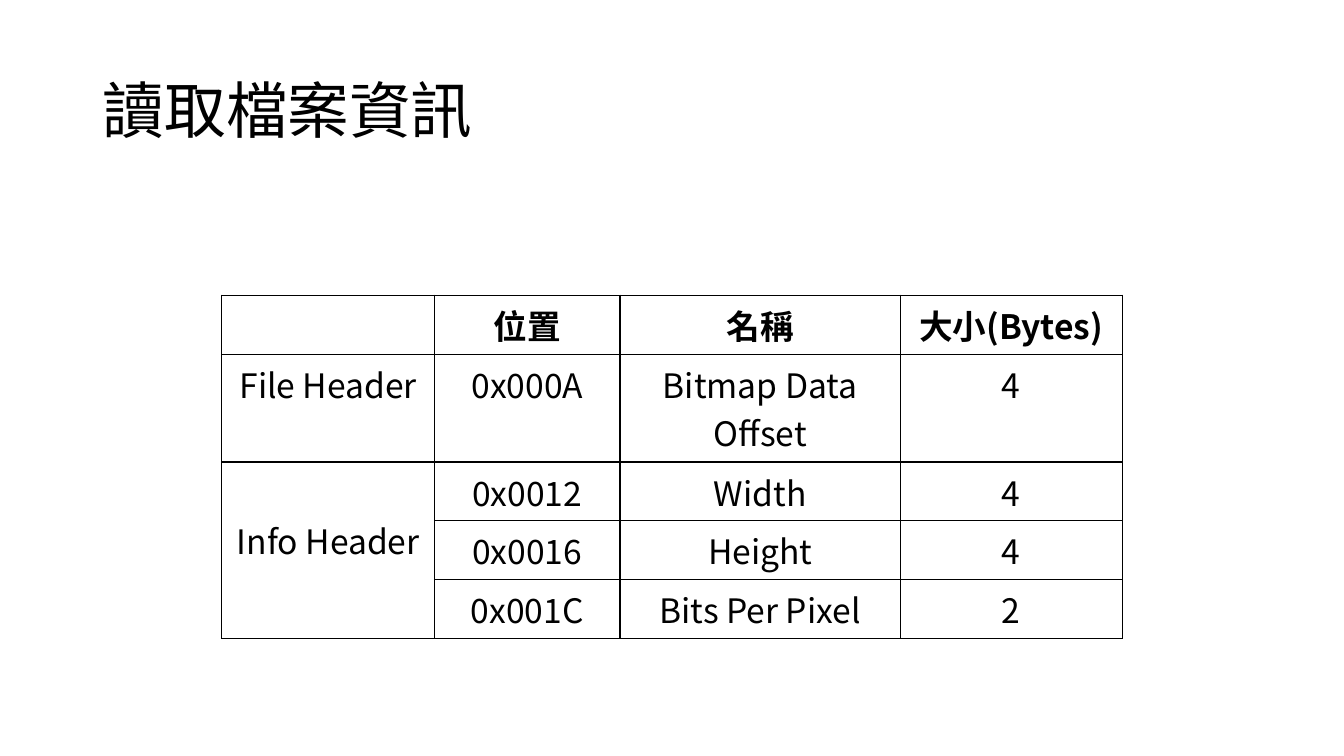
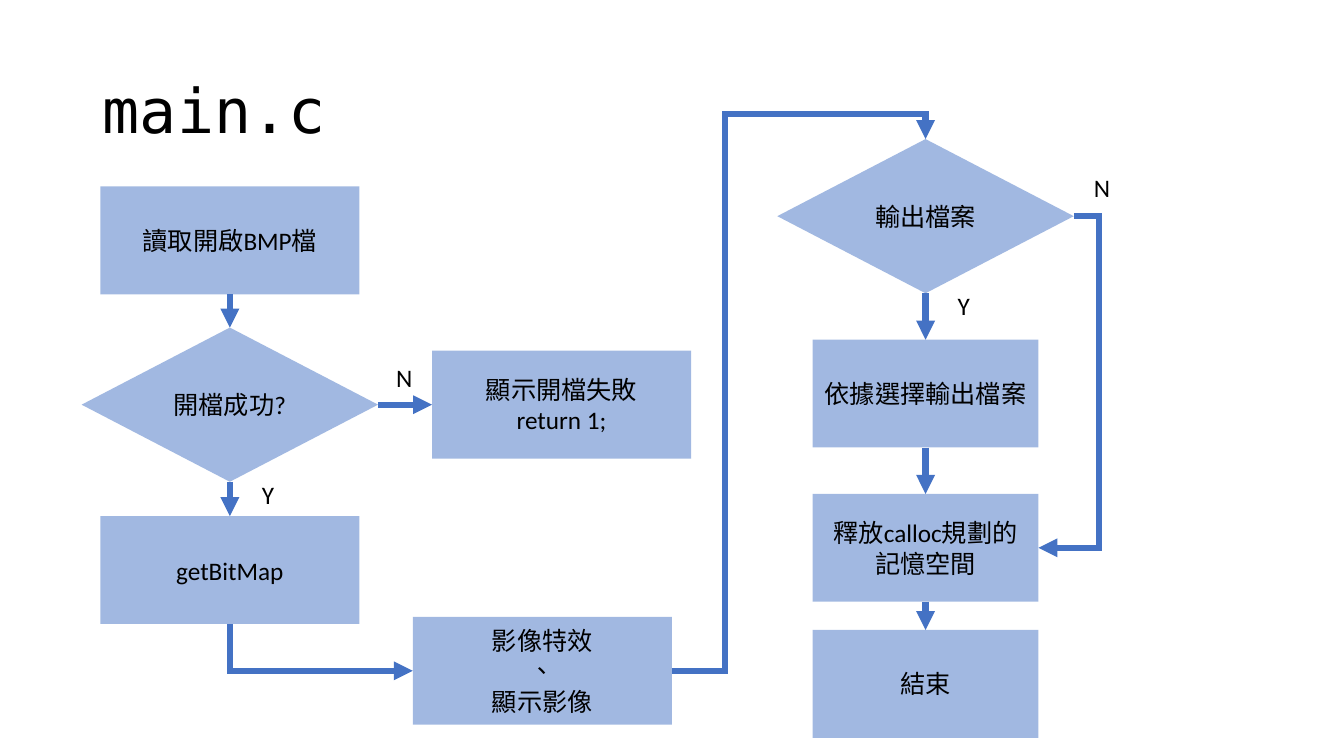
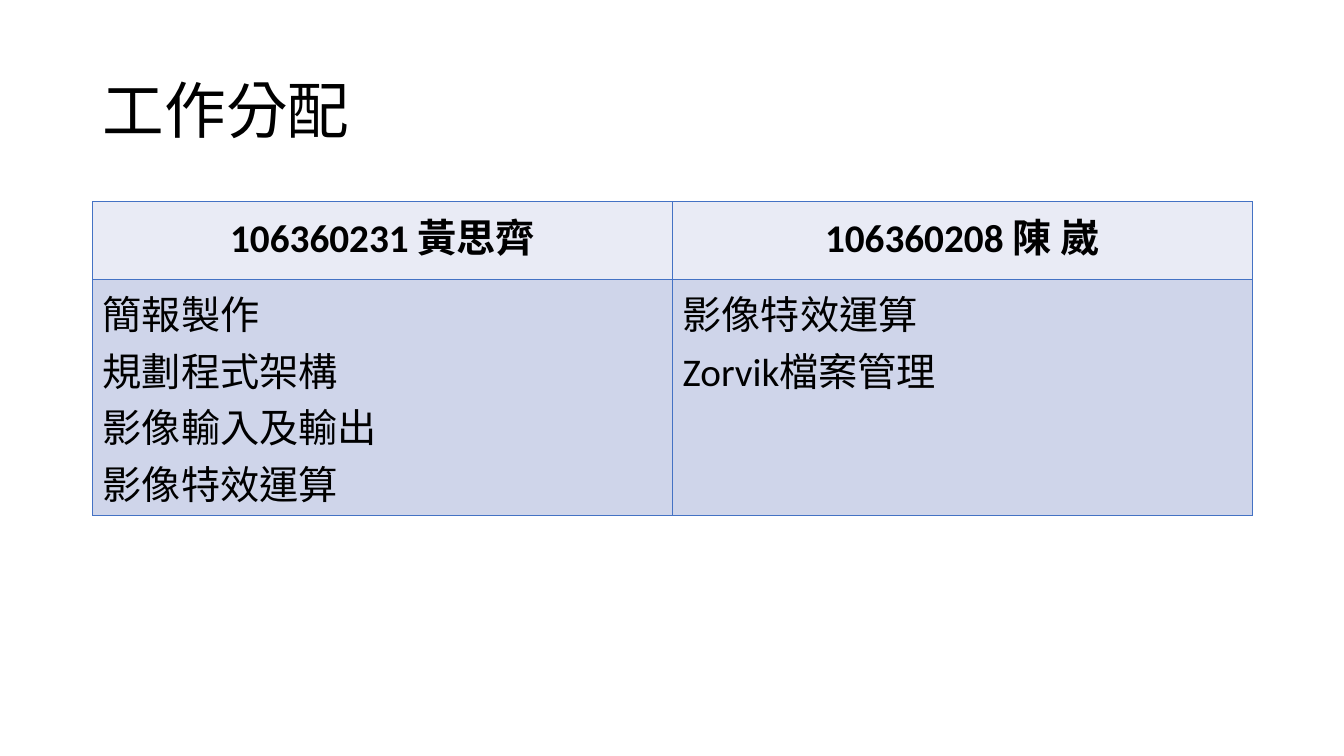
from dataclasses import dataclass

from lxml import etree
from pptx import Presentation
from pptx.dml.color import RGBColor
from pptx.enum import shapes, text
from pptx.oxml import ns
from pptx.util import Inches, Pt

RECT = shapes.MSO_SHAPE.RECTANGLE
DECISION = shapes.MSO_SHAPE.FLOWCHART_DECISION
CENTER, LEFT = text.PP_ALIGN.CENTER, text.PP_ALIGN.LEFT
TOP_SITE, LEFT_SITE, BOTTOM_SITE, RIGHT_SITE = range(4)


@dataclass(frozen=True)
class Theme:
    ink: str = "000000"
    accent: str = "4472C4"
    header_fill: str = "E9EBF5"
    body_fill: str = "CFD5EA"
    mono: str = "DejaVu Sans Mono"
    sans: str = "Calibri"
    cjk: str = "Noto Sans CJK SC"
    title_size: int = 44
    large_size: int = 28
    table_size: int = 24
    flow_size: int = 18
    arrow_width: float = 4.5
    border_width: float = 1


THEME = Theme()


def child(parent, tag, **attrs):
    return etree.SubElement(parent, ns.qn(tag), attrs)


def write(tf, lines, size, latin, east_asian, align=LEFT, bold=False):
    """Fill a text frame with one paragraph per line; return the paragraphs."""
    for i, line in enumerate(lines):
        p = tf.paragraphs[0] if i == 0 else tf.add_paragraph()
        p.alignment = align
        r = p.add_run()
        r.text = line
        r.font.size = Pt(size)
        r.font.bold = bold
        r.font.name = latin
        r.font.color.rgb = RGBColor.from_string(THEME.ink)
        props = r.font._element
        props.set("lang", "zh-TW")
        child(props, "a:ea", typeface=east_asian)
    return tf.paragraphs


def place_title(layout):
    """Give every slide of this layout the same title box."""
    sp = layout.placeholders[0]
    sp.left, sp.top = Inches(0.92), Inches(0.4)
    sp.width, sp.height = Inches(11.5), Inches(1.45)


def add_slide(prs, title):
    slide = prs.slides.add_slide(prs.slide_layouts[5])
    tf = slide.shapes.title.text_frame
    tf.auto_size = text.MSO_AUTO_SIZE.NONE
    tf.vertical_anchor = text.MSO_ANCHOR.MIDDLE
    p = write(tf, [title], THEME.title_size, THEME.mono, THEME.mono)[0]
    p.line_spacing = 0.9
    return slide


def add_grid(slide, left, top, widths, heights, color):
    """Add a table without a banded style, every cell bordered."""
    frame = slide.shapes.add_table(
        len(heights), len(widths), Inches(left), Inches(top),
        Inches(sum(widths)), Inches(sum(heights)))
    table = frame.table
    table.first_row = table.horz_banding = False
    for column, width in zip(table.columns, widths):
        column.width = Inches(width)
    for row, height in zip(table.rows, heights):
        row.height = Inches(height)
    for cell in table.iter_cells():
        props = cell._tc.get_or_add_tcPr()
        for side in "LRTB":
            ln = child(props, f"a:ln{side}", w=str(Pt(THEME.border_width)))
            child(child(ln, "a:solidFill"), "a:srgbClr", val=color)
        cell.fill.background()
    return table


def add_node(slide, lines, cx, top, width=2.57, height=1.07, kind=RECT):
    """Add a flowchart step centred on cx."""
    sp = slide.shapes.add_shape(
        kind, Inches(cx - width / 2), Inches(top), Inches(width), Inches(height))
    sp.shadow.inherit = False
    sp.line.fill.background()
    sp.fill.solid()
    sp.fill.fore_color.rgb = RGBColor.from_string(THEME.accent)
    child(sp._element.spPr.find(".//" + ns.qn("a:srgbClr")), "a:alpha", val="50000")
    tf = sp.text_frame
    tf.vertical_anchor = text.MSO_ANCHOR.MIDDLE
    write(tf, lines, THEME.flow_size, THEME.sans, THEME.sans, CENTER)
    return sp


def add_decision(slide, line, cx, top):
    return add_node(slide, [line], cx, top, 2.94, 1.53, DECISION)


def add_label(slide, line, left, top):
    sp = slide.shapes.add_textbox(Inches(left), Inches(top), Inches(0.46), Inches(0.4))
    sp.text_frame.word_wrap = True
    write(sp.text_frame, [line], THEME.flow_size, THEME.sans, THEME.sans)


def add_arrow(slide, start, start_site, end, end_site, bend=None, adjust=(), arrow_end="a:tailEnd"):
    """Join two steps; bend names a bent preset, adjust its values in 1/100000."""
    kind = shapes.MSO_CONNECTOR.ELBOW if bend else shapes.MSO_CONNECTOR.STRAIGHT
    cxn = slide.shapes.add_connector(kind, 0, 0, 0, 0)
    cxn.begin_connect(start, start_site)
    cxn.end_connect(end, end_site)
    cxn.line.color.rgb = RGBColor.from_string(THEME.accent)
    cxn.line.width = Pt(THEME.arrow_width)
    props = cxn._element.spPr
    ln = props.find(ns.qn("a:ln"))
    child(ln, "a:miter", lim="800000")
    child(ln, arrow_end, type="triangle")
    child(props, "a:effectLst")
    if bend:
        geom = props.find(ns.qn("a:prstGeom"))
        geom.set("prst", bend)
        guides = geom.find(ns.qn("a:avLst"))
        for i, value in enumerate(adjust, 1):
            child(guides, "a:gd", name=f"adj{i}", fmla=f"val {value}")


def file_info_slide(prs):
    slide = add_slide(prs, "讀取檔案資訊")
    rows = [
        ["", "位置", "名稱", "大小(Bytes)"],
        ["File Header", "0x000A", "Bitmap Data Offset", "4"],
        ["Info Header", "0x0012", "Width", "4"],
        ["", "0x0016", "Height", "4"],
        ["", "0x001C", "Bits Per Pixel", "2"],
    ]
    table = add_grid(slide, 2.2, 2.93, [2.11, 1.84, 2.78, 2.2],
                     [0.58, 1.07, 0.58, 0.58, 0.58], THEME.ink)
    info_header = table.cell(2, 0)
    info_header.merge(table.cell(4, 0))
    info_header.margin_top = Inches(0.53)
    for i, row in enumerate(rows):
        for j, value in enumerate(row):
            if value:
                write(table.cell(i, j).text_frame, [value], THEME.table_size,
                      THEME.cjk, THEME.cjk, CENTER, bold=i == 0)


def flow_slide(prs):
    slide = add_slide(prs, "main.c")
    left, right, narrow = 2.28, 9.18, 2.24

    read = add_node(slide, ["讀取開啟BMP檔"], left, 1.85)
    opened = add_decision(slide, "開檔成功?", left, 3.25)
    bitmap = add_node(slide, ["getBitMap"], left, 5.12)
    failed = add_node(slide, ["顯示開檔失敗", "return 1;"], 5.57, 3.48)
    effects = add_node(slide, ["影像特效", "、", "顯示影像"], 5.38, 6.12)
    output = add_decision(slide, "輸出檔案", right, 1.38)
    save = add_node(slide, ["依據選擇輸出檔案"], right, 3.37, narrow)
    release = add_node(slide, ["釋放calloc規劃的記憶空間"], right, 4.9, narrow)
    finish = add_node(slide, ["結束"], right, 6.25, narrow)

    for upper, lower in [(read, opened), (opened, bitmap), (output, save),
                         (save, release), (release, finish)]:
        add_arrow(slide, upper, BOTTOM_SITE, lower, TOP_SITE)
    add_arrow(slide, opened, RIGHT_SITE, failed, LEFT_SITE)
    # This preset leaves its start sideways, so it is drawn from the arrowhead back.
    add_arrow(slide, effects, LEFT_SITE, bitmap, BOTTOM_SITE,
              "bentConnector2", arrow_end="a:headEnd")
    add_arrow(slide, effects, RIGHT_SITE, output, TOP_SITE,
              "bentConnector4", (20800, 104700))
    add_arrow(slide, output, RIGHT_SITE, release, RIGHT_SITE,
              "bentConnector3", (-71500,))

    for line, x, y in [("Y", 2.5, 4.71), ("N", 3.83, 3.55),
                       ("N", 10.75, 1.66), ("Y", 9.4, 2.83)]:
        add_label(slide, line, x, y)


def work_slide(prs):
    slide = add_slide(prs, "工作分配")
    members = [
        ("106360231 黃思齊", ["簡報製作", "規劃程式架構", "影像輸入及輸出", "影像特效運算"]),
        ("106360208 陳 崴", ["影像特效運算", "Zorvik檔案管理"]),
    ]
    table = add_grid(slide, 0.92, 2, [5.75, 5.75], [0.77, 2.33], THEME.accent)
    for j, (member, tasks) in enumerate(members):
        parts = [([member], THEME.header_fill, CENTER, True),
                 (tasks, THEME.body_fill, LEFT, False)]
        for i, (lines, fill, align, bold) in enumerate(parts):
            cell = table.cell(i, j)
            cell.fill.solid()
            cell.fill.fore_color.rgb = RGBColor.from_string(fill)
            write(cell.text_frame, lines, THEME.large_size,
                  THEME.sans, THEME.cjk, align, bold)


def main():
    prs = Presentation()
    prs.slide_width, prs.slide_height = Inches(13.33), Inches(7.5)
    place_title(prs.slide_layouts[5])
    file_info_slide(prs)
    flow_slide(prs)
    work_slide(prs)
    prs.save("out.pptx")


if __name__ == "__main__":
    main()
